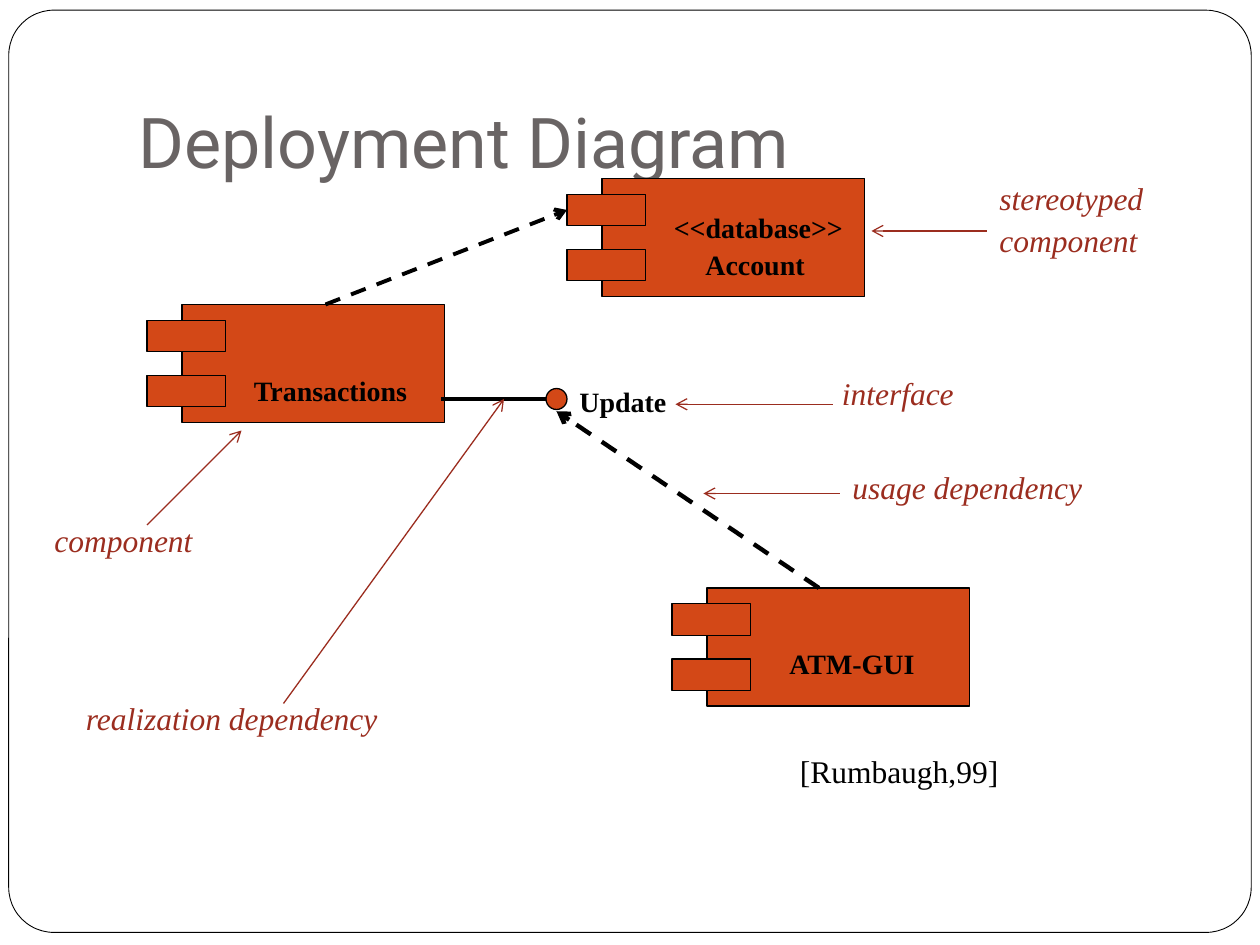
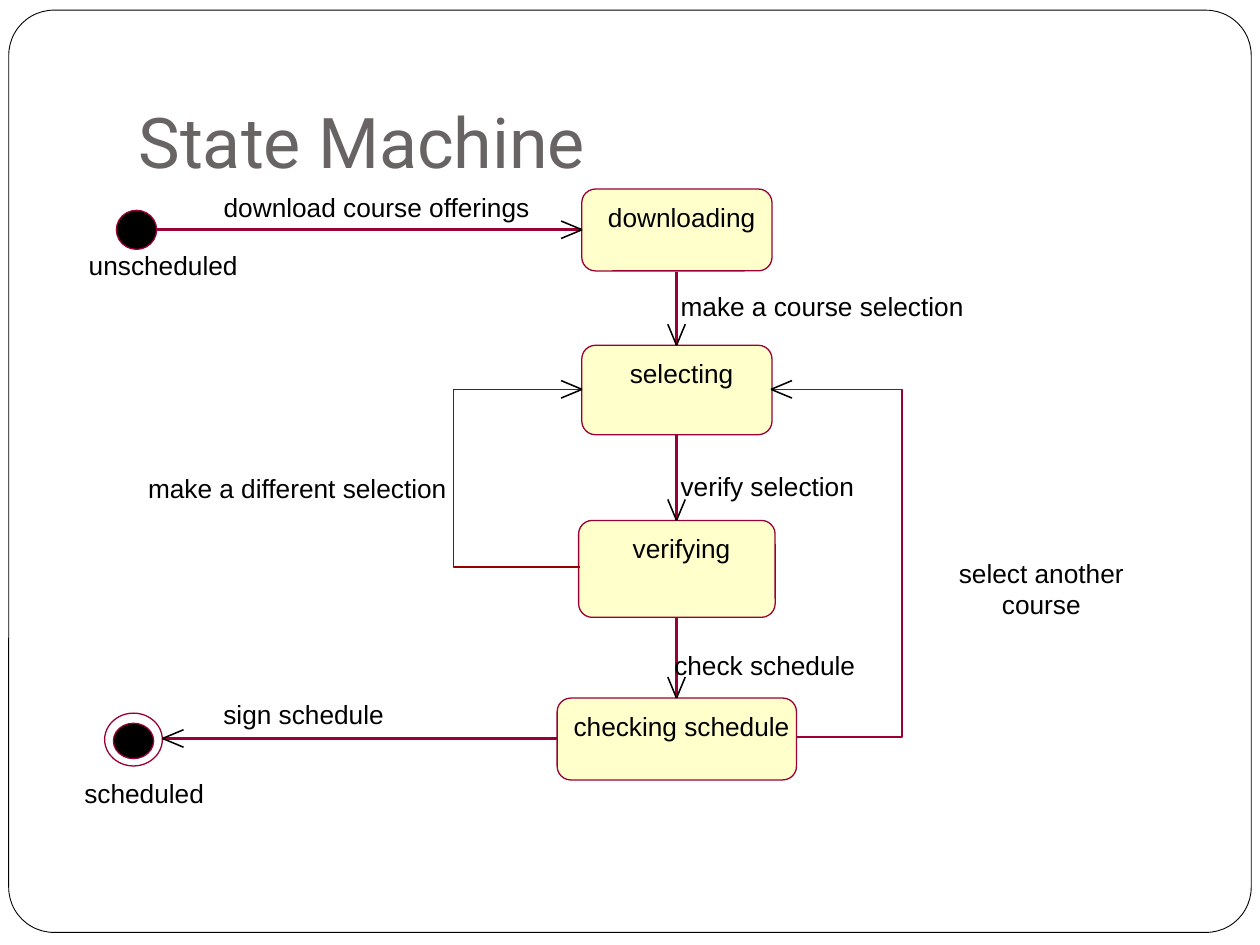
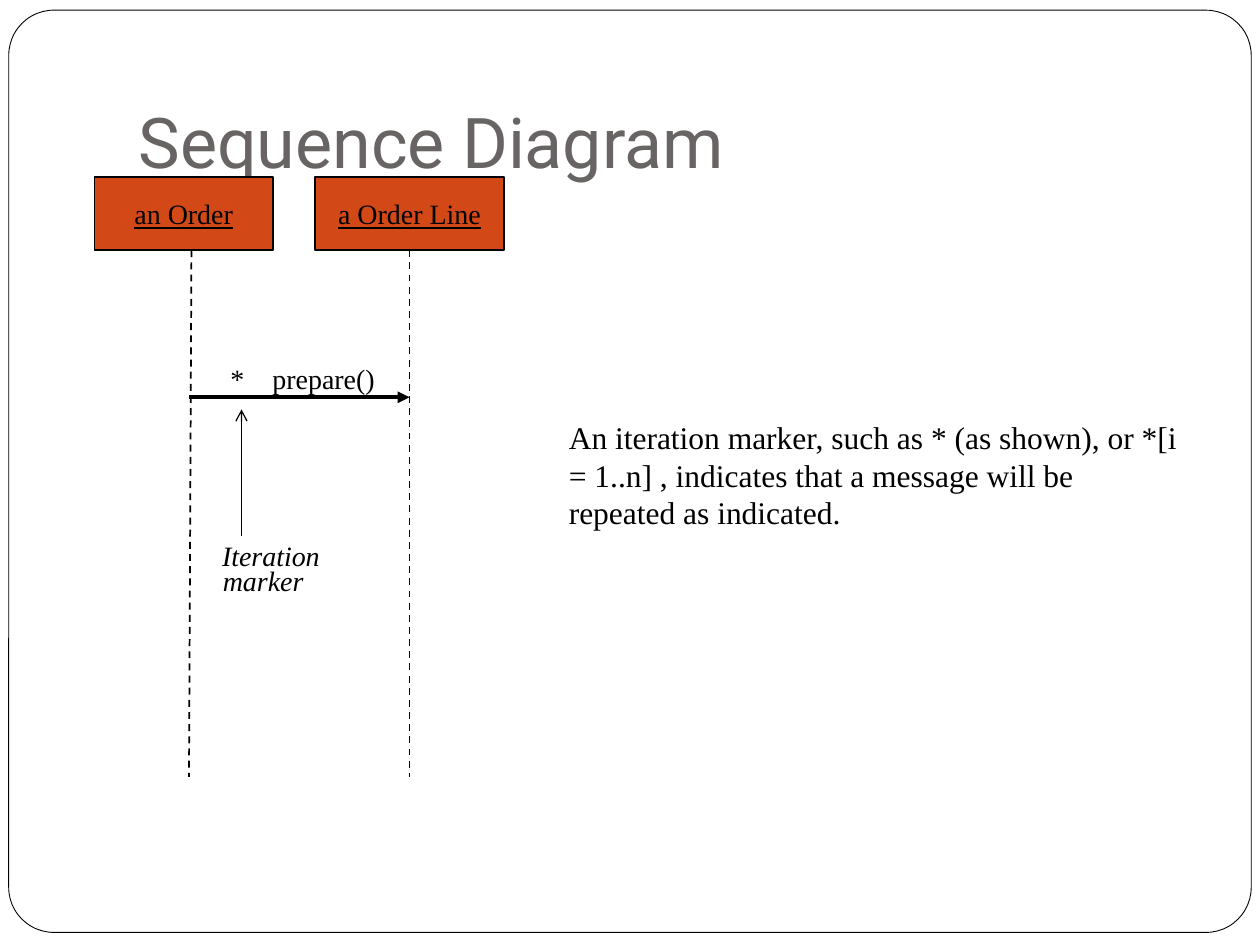
from dataclasses import dataclass

from lxml.etree import SubElement
from pptx import Presentation
from pptx.dml.color import RGBColor
from pptx.enum.dml import MSO_LINE
from pptx.enum.shapes import MSO_CONNECTOR, MSO_SHAPE
from pptx.enum.text import MSO_ANCHOR as ANCHOR, MSO_AUTO_SIZE as AUTO, PP_ALIGN as ALIGN
from pptx.oxml.ns import qn
from pptx.util import Pt


@dataclass(frozen=True)
class Theme:
    # Colours
    white: str = "FFFFFF"
    black: str = "000000"
    grey: str = "696464"
    orange: str = "D34817"
    rust: str = "9B2D1F"
    cream: str = "FFFFCC"
    wine: str = "990033"
    red: str = "990000"
    # Fonts
    title_font: str = "Roboto"
    serif: str = "Times New Roman"
    sans: str = "Arial"
    # Type sizes
    title_size: int = 40
    note_size: int = 18
    label_size: int = 16
    state_size: int = 15


T = Theme()


def rgb(color):
    return RGBColor.from_string(color)


def write(tf, text, *, size=T.label_size, font=T.serif, color=T.black, bold=False,
          italic=False, underline=False, align=ALIGN.LEFT, anchor=ANCHOR.TOP,
          wrap=True, margins=(7.2, 3.6, 7.2, 3.6), tab=None):
    """Put one formatted paragraph into a text frame."""
    tf.word_wrap = wrap
    tf.vertical_anchor = anchor
    tf.margin_left, tf.margin_top, tf.margin_right, tf.margin_bottom = map(Pt, margins)
    p = tf.paragraphs[0]
    p.alignment = align
    if tab:
        tabs = SubElement(p._p.get_or_add_pPr(), qn("a:tabLst"))
        SubElement(tabs, qn("a:tab"), pos=str(Pt(tab)), algn="l")
    r = p.add_run()
    r.text = text
    f = r.font
    f.name, f.size, f.color.rgb = font, Pt(size), rgb(color)
    f.bold, f.italic, f.underline = bold, italic, underline


class Deck:
    """Holds the presentation, its style and the current slide."""

    def __init__(self):
        self.prs = Presentation()
        self.prs.slide_width, self.prs.slide_height = Pt(720), Pt(540)
        self.s = None

    def slide(self, title):
        first = self.s is None
        self.s = self.prs.slides.add_slide(self.prs.slide_layouts[5])
        if first:
            self.master_frame()
        sp = self.s.shapes.title
        sp.left, sp.top, sp.width, sp.height = map(Pt, (72, 21.6, 612, 90))
        sp.text_frame.auto_size = AUTO.NONE
        write(sp.text_frame, title, size=T.title_size, font=T.title_font, color=T.grey,
              anchor=ANCHOR.BOTTOM, margins=(7.2, 3.6, 7.2, 7.2))

    def master_frame(self):
        """Rounded page frame, placed behind everything on the master."""
        sp = self.shape(MSO_SHAPE.ROUNDED_RECTANGLE, 5, 5.8, 710, 527, T.white, weight=0.5)
        sp.adjustments[0] = 0.049
        self.prs.slide_master.shapes._spTree.insert(2, sp._element)

    def outline(self, sp, fill, line, weight):
        sp.shadow.inherit = False
        if fill:
            sp.fill.solid()
            sp.fill.fore_color.rgb = rgb(fill)
        else:
            sp.fill.background()
        sp.line.color.rgb = rgb(line)
        sp.line.width = Pt(weight)

    def shape(self, kind, x, y, w, h, fill=None, line=T.black, weight=0.75):
        sp = self.s.shapes.add_shape(kind, Pt(x), Pt(y), Pt(w), Pt(h))
        self.outline(sp, fill, line, weight)
        return sp

    def text(self, text, x, y, w, h=26.6, **fmt):
        sp = self.s.shapes.add_textbox(Pt(x), Pt(y), Pt(w), Pt(h))
        write(sp.text_frame, text, **fmt)

    def line(self, x1, y1, x2, y2, color=T.black, weight=0.75, dash=False, arrow=None):
        c = self.s.shapes.add_connector(MSO_CONNECTOR.STRAIGHT, Pt(x1), Pt(y1), Pt(x2), Pt(y2))
        c.line.color.rgb = rgb(color)
        c.line.width = Pt(weight)
        if dash:
            c.line.dash_style = MSO_LINE.DASH
        if arrow:
            SubElement(c.line._get_or_add_ln(), qn("a:tailEnd"), type=arrow)
        SubElement(c._element.spPr, qn("a:effectLst"))

    def component(self, x, y):
        """UML component: a body with two lugs on its left edge."""
        for dx, dy, w, h in ((20, 0, 150, 67.5), (0, 9, 45, 18), (0, 40.5, 45, 18)):
            self.shape(MSO_SHAPE.RECTANGLE, x + dx, y + dy, w, h, T.orange)

    def state_label(self, text, x, y, w):
        self.text(text, x, y, w, 18, size=T.state_size, font=T.sans, align=ALIGN.CENTER,
                  wrap=False, margins=(0, 0, 0, 0))

    def state(self, text, y, w, h, center=386.8, radius=7.8):
        sp = self.shape(MSO_SHAPE.ROUNDED_RECTANGLE, center - w / 2, y, w, h,
                        T.cream, T.wine, 0)
        sp.adjustments[0] = radius / h
        self.state_label(text, center - w / 2 + 2.7, y + 7, w)

    def flow(self, *points, color=T.wine, weight=0):
        """Transition through the points, ending in a black open head."""
        if len(points) == 2:
            self.line(*points[0], *points[1], color, weight)
        else:
            (x, y), *rest = [(Pt(x), Pt(y)) for x, y in points]
            path = self.s.shapes.build_freeform(x, y)
            path.add_line_segments(rest, close=False)
            self.outline(path.convert_to_shape(), None, color, weight)
        (px, py), (x, y) = points[-2:]
        length = abs(x - px) + abs(y - py)
        ux, uy = (x - px) / length, (y - py) / length
        for side in (-5, 5):
            self.line(x, y, x - 12 * ux + side * uy, y - 12 * uy + side * ux, weight=0.88)


def deployment(d):
    d.slide("Deployment Diagram")

    # Components and the interface
    for x, y in ((84, 174), (324, 102), (384, 336)):
        d.component(x, y)
    d.shape(MSO_SHAPE.OVAL, 312, 222, 12, 12, T.orange)
    for name, x, y, w in (("Transactions", 138, 210, 126), ("Update", 324, 216, 84),
                          ("<<database>>", 378, 117, 114), ("Account", 396, 138, 90),
                          ("ATM-GUI", 444, 366, 90)):
        d.text(name, x, y, w, bold=True)

    # Dependencies
    d.line(312, 228, 252, 228, weight=2.25)
    d.line(186, 174, 324, 120, weight=2.25, dash=True, arrow="arrow")
    d.line(468, 336, 318, 235, weight=2.5, dash=True, arrow="arrow")

    # Explanatory notes and their pointers
    for note, x, y, w in (("component", 24, 294, 150), ("realization dependency", 42, 396, 276),
                          ("interface", 474, 210, 102), ("usage dependency", 480, 264, 192),
                          ("stereotyped", 564, 99, 126), ("component", 564, 123, 150)):
        d.text(note, x, y, w, 36, size=T.note_size, color=T.rust, italic=True)
    for ends in ((84, 300, 138, 246), (162, 402, 288, 228), (480, 282, 402, 282),
                 (476, 231, 386, 231), (564, 132, 498, 132)):
        d.line(*ends, color=T.rust, arrow="arrow")
    d.text("[Rumbaugh,99]", 450, 426, 270, 36, size=T.note_size)


def state_machine(d):
    d.slide("State Machine")

    # Start and end markers
    for x, y, w, h, fill in ((66.5, 120.2, 23, 22.3, T.black), (59.8, 407.5, 33, 30.2, None),
                             (64.8, 413.3, 23, 20.2, T.black)):
        d.shape(MSO_SHAPE.OVAL, x, y, w, h, fill, T.wine, 0)

    # States
    for name, y, w, h in (("downloading", 108, 108.7, 46.8), ("selecting", 197.3, 108.7, 51.1),
                          ("verifying", 297.4, 112.3, 55.4),
                          ("checking schedule", 398.9, 136.8, 46.8)):
        d.state(name, y, w, h)

    # Transitions
    for top, bottom in ((155.5, 197.3), (248.4, 297.4), (352.8, 398.9)):
        d.flow((386.6, top), (386.6, bottom))
    d.flow((89.3, 131.3), (332.6, 131.3))
    d.flow((318.2, 422), (92.9, 422))
    d.flow((455, 421.2), (515.5, 421.2), (515.5, 222.5), (440.6, 222.5))
    d.flow((331.2, 324), (259.2, 324), (259.2, 222.5), (332.6, 222.5),
           color=T.red, weight=0.75)

    # Labels
    for text, x, y, w in (("download course offerings", 127.4, 109.4, 175.7),
                          ("make a course selection", 388.8, 165.6, 162),
                          ("verify selection", 388.8, 268.6, 99.4),
                          ("check schedule", 385.2, 370.8, 103.7),
                          ("select another course", 523.4, 318.2, 143.3),
                          ("make a different selection", 84.2, 270, 171.4),
                          ("sign schedule", 127.4, 398.9, 92.2),
                          ("unscheduled", 50.4, 142.6, 85.7),
                          ("scheduled", 48.2, 444.2, 68.4)):
        d.state_label(text, x, y, w)


def sequence(d):
    d.slide("Sequence Diagram")

    # Objects and lifelines
    for name, x, w, top_x, end_x in (("an Order", 54, 102, 109.4, 108),
                                     ("a Order Line", 180, 108, 234, 234)):
        sp = d.shape(MSO_SHAPE.RECTANGLE, x, 101, w, 42, T.orange, weight=1)
        write(sp.text_frame, name, underline=True, align=ALIGN.CENTER,
              anchor=ANCHOR.MIDDLE, wrap=False)
        d.line(top_x, 143, end_x, 444, weight=1, dash=True)

    # Message
    d.line(108, 227, 234, 227, weight=2.25, arrow="triangle")
    d.text("*\tprepare()", 124.6, 203, 110, tab=24)

    # Iteration marker
    d.line(138, 306, 138, 234, arrow="arrow")
    for word, x, y, w in (("Iteration", 119.5, 303.8, 70.6), ("marker", 120.2, 318.2, 60.5)):
        d.text(word, x, y, w, italic=True, align=ALIGN.CENTER, anchor=ANCHOR.MIDDLE, wrap=False)
    d.text("An iteration marker, such as * (as shown), or *[i = 1..n] , indicates that "
           "a message will be repeated as indicated.", 318, 210, 366, 122.4,
           size=T.note_size, anchor=ANCHOR.MIDDLE)


def main():
    d = Deck()
    deployment(d)
    state_machine(d)
    sequence(d)
    d.prs.save("out.pptx")


if __name__ == "__main__":
    main()
